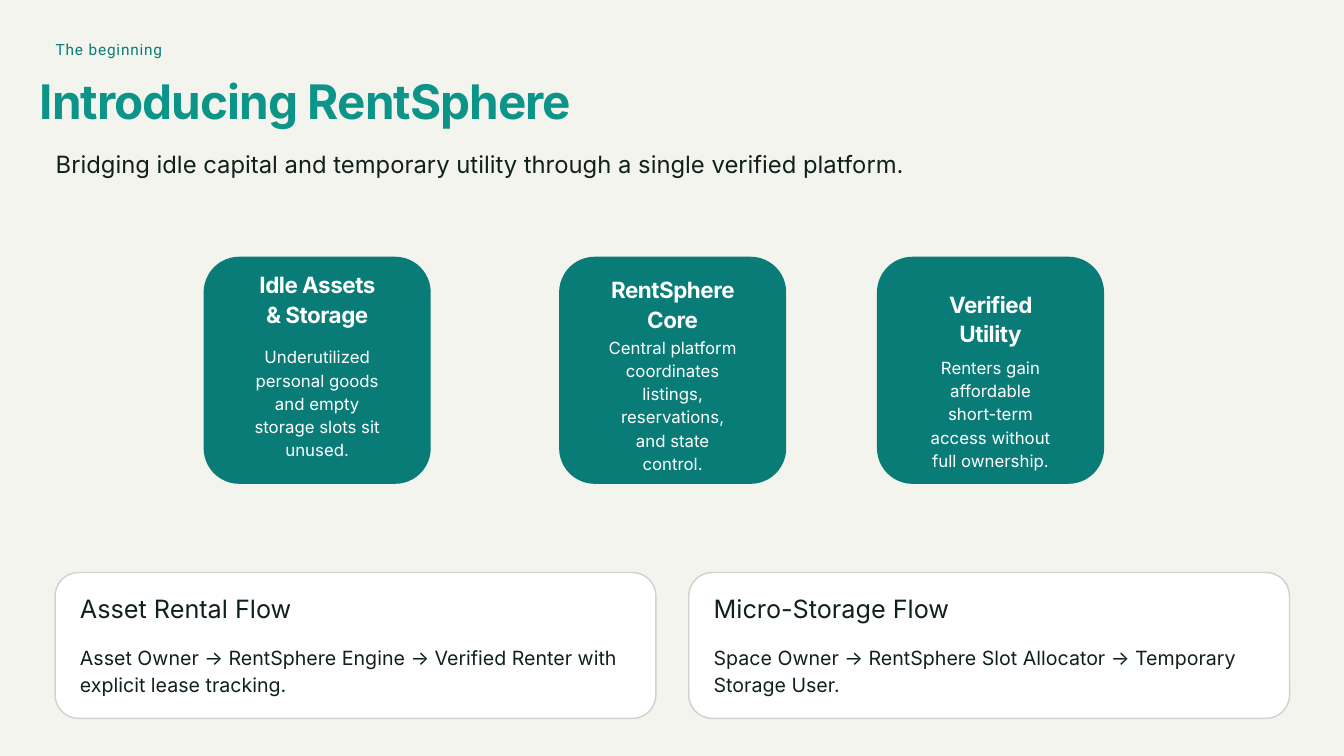
import pptx
import pptx.util
import pptx.dml.color
import pptx.enum.shapes
import pptx.enum.text

Inches = pptx.util.Inches
Pt = pptx.util.Pt
RGBColor = pptx.dml.color.RGBColor
Align = pptx.enum.text.PP_ALIGN

PAPER = RGBColor(0xF2, 0xF4, 0xED)
WHITE = RGBColor(0xFF, 0xFF, 0xFF)
INK = RGBColor(0x10, 0x20, 0x1D)
TEAL = RGBColor(0x0A, 0x7C, 0x78)
BRIGHT_TEAL = RGBColor(0x0D, 0x94, 0x88)
BORDER = RGBColor(0xCB, 0xD4, 0xCE)


def write(para, text, *, size, leading, color=INK, font="Inter", bold=False,
          align=Align.LEFT, tracking=0):
    """Put one formatted span of text into a paragraph."""
    para.alignment = align
    para.line_spacing = Pt(leading)
    span = para.add_run()
    span.text = text
    span.font.name = font
    span.font.size = Pt(size)
    span.font.bold = bold
    span.font.color.rgb = color
    if tracking:
        span.font._element.set("spc", str(round(tracking * 100)))


class SlideBuilder:
    """Holds the current slide and the style of its elements."""

    card_title = dict(size=24, leading=31.7, color=WHITE, bold=True,
                      align=Align.CENTER, tracking=-0.5)
    card_body = dict(size=18, leading=24.8, color=WHITE, align=Align.CENTER)
    panel_title = dict(size=27, leading=35.7)
    panel_body = dict(size=21, leading=29)

    def __init__(self, page):
        self.page = page
        page.background.fill.solid()
        page.background.fill.fore_color.rgb = PAPER

    def text(self, left, top, width, height, text, **style):
        box = self.page.shapes.add_textbox(
            Inches(left), Inches(top), Inches(width), Inches(height))
        frame = box.text_frame
        frame.word_wrap = True
        frame.margin_left = frame.margin_right = 0
        frame.margin_top = frame.margin_bottom = 0
        write(frame.paragraphs[0], text, **style)

    def rounded(self, left, top, width, height, radius, fill, line=None):
        shape = self.page.shapes.add_shape(
            pptx.enum.shapes.MSO_SHAPE.ROUNDED_RECTANGLE,
            Inches(left), Inches(top), Inches(width), Inches(height))
        shape.adjustments[0] = radius / min(width, height)
        shape.shadow.inherit = False
        shape.fill.solid()
        shape.fill.fore_color.rgb = fill
        if line is None:
            shape.line.fill.background()
        else:
            shape.line.color.rgb = line
            shape.line.width = Pt(1.5)

    def card(self, left, title, title_top, title_width, body, body_top):
        side, body_width = 3.38, 1.96
        self.rounded(left, 3.82, side, side, 0.53, TEAL)
        self.text(left + (side - title_width) / 2, title_top, title_width, 0.87,
                  title, **self.card_title)
        self.text(left + (side - body_width) / 2, body_top, body_width, 2.05,
                  body, **self.card_body)

    def panel(self, left, title, body):
        self.rounded(left, 8.52, 8.94, 2.17, 0.35, WHITE, BORDER)
        self.text(left + 0.37, 8.78, 8.21, 0.53, title, **self.panel_title)
        self.text(left + 0.37, 9.56, 8.21, 0.85, body, **self.panel_body)


def main():
    deck = pptx.Presentation()
    deck.slide_width = Inches(20)
    deck.slide_height = Inches(11.25)
    builder = SlideBuilder(deck.slides.add_slide(deck.slide_layouts[6]))

    # Heading
    builder.text(0.83, 0.59, 4, 0.28, "The beginning", size=16.5, leading=20.4,
                 color=TEAL, font="Roboto", tracking=0.9)
    builder.text(0.59, 1.17, 18.35, 0.67, "Introducing RentSphere", size=51,
                 leading=53.9, color=BRIGHT_TEAL, bold=True, tracking=-1)
    builder.text(0.83, 2.16, 18.36, 0.54,
                 "Bridging idle capital and temporary utility through "
                 "a single verified platform.", size=25.5, leading=35.2)

    # Three cards
    builder.card(3.03, "Idle Assets & Storage", 4, 1.96,
                 "Underutilized personal goods and empty storage slots "
                 "sit unused.", 5.12)
    builder.card(8.32, "RentSphere Core", 4.07, 1.96,
                 "Central platform coordinates listings, reservations, "
                 "and state control.", 4.98)
    builder.card(13.05, "Verified Utility", 4.29, 2.21,
                 "Renters gain affordable short-term access without "
                 "full ownership.", 5.28)

    # Flow panels
    builder.panel(0.82, "Asset Rental Flow",
                  "Asset Owner → RentSphere Engine → Verified Renter "
                  "with explicit lease tracking.")
    builder.panel(10.25, "Micro-Storage Flow",
                  "Space Owner → RentSphere Slot Allocator → Temporary "
                  "Storage User.")

    deck.save("out.pptx")


if __name__ == "__main__":
    main()
